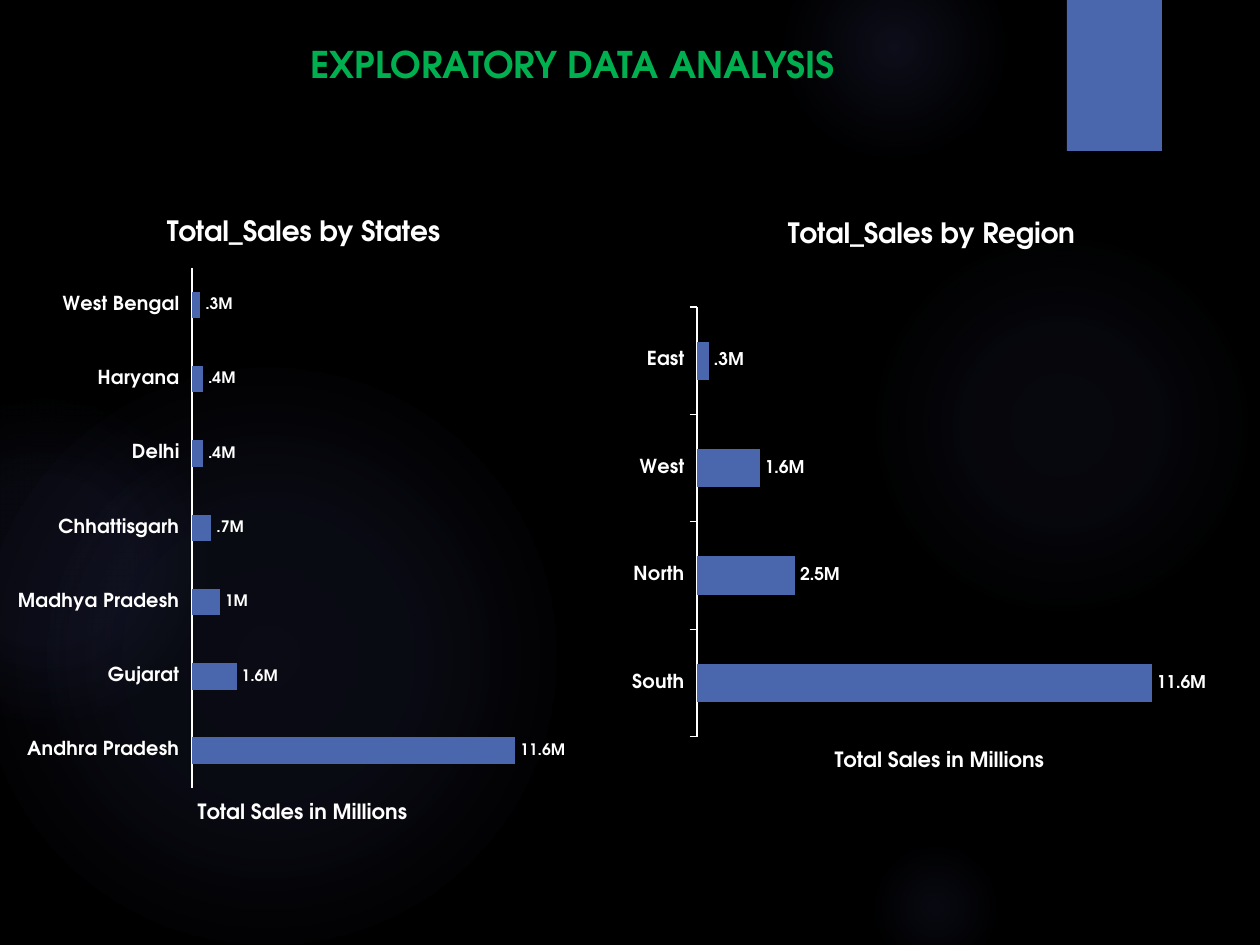
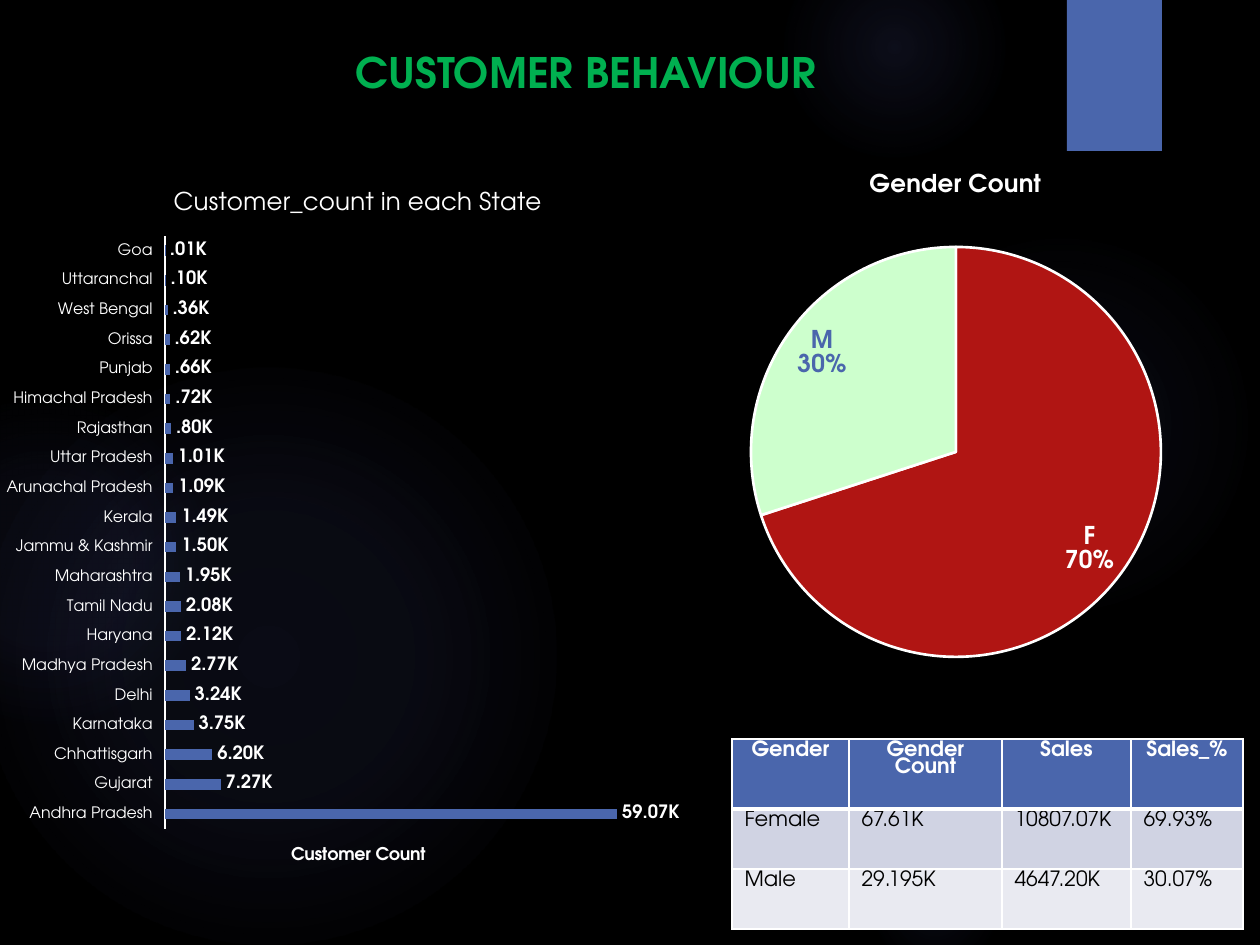
"""Builds two dark sales slides with bar charts, a gender pie and a gender table."""
from dataclasses import dataclass

from pptx import Presentation
from pptx.chart.data import CategoryChartData
from pptx.dml.color import RGBColor as RGB
from pptx.enum.chart import XL_CHART_TYPE as ChartType
from pptx.enum.chart import XL_LABEL_POSITION as LabelPos
from pptx.enum.chart import XL_TICK_LABEL_POSITION as TickLabelPos
from pptx.enum.chart import XL_TICK_MARK as Tick
from pptx.enum.shapes import MSO_SHAPE as Preset
from pptx.enum.text import MSO_ANCHOR as Anchor
from pptx.enum.text import PP_ALIGN as Align
from pptx.oxml import parse_xml
from pptx.oxml.ns import nsdecls, qn
from pptx.oxml.xmlchemy import OxmlElement
from pptx.util import Inches, Pt

PX = 7257


@dataclass(frozen=True)
class Theme:
    font: str = "TeX Gyre Adventor"
    black: RGB = RGB(0, 0, 0)
    white: RGB = RGB(255, 255, 255)
    blue: RGB = RGB.from_string("4A66AC")
    green: RGB = RGB.from_string("00B050")
    glow: RGB = RGB.from_string("5C64B7")
    red: RGB = RGB.from_string("B01513")
    mint: RGB = RGB.from_string("CDFFCD")
    odd_row: RGB = RGB.from_string("D0D3E3")
    even_row: RGB = RGB.from_string("E9EAF1")
    chart_size: float = 10
    pie_label: float = 14
    pie_title: float = 14
    table: float = 12


theme = Theme()


def add_run(paragraph, text, size, color=theme.white, bold=True):
    run = paragraph.add_run()
    run.text = text
    run.font.name = theme.font
    run.font.size = Pt(size)
    run.font.bold = bold
    run.font.color.rgb = color


def place(element, frame, box):
    """Pins a chart part to a px box (x, y and perhaps width, height)."""
    layout = element.find(qn("c:layout"))
    if layout is None:
        layout = OxmlElement("c:layout")
        element.insert(0 if element.find(qn("c:tx")) is None else 1, layout)
    manual = OxmlElement("c:manualLayout")
    layout.append(manual)
    fractions = [(box[0] - frame[0]) / frame[2], (box[1] - frame[1]) / frame[3]]
    settings = [("xMode", "edge"), ("yMode", "edge")]
    if len(box) == 4:
        fractions += [box[2] / frame[2], box[3] / frame[3]]
        settings.insert(0, ("layoutTarget", "inner"))
    settings += [(key, f"{part:.4f}") for key, part in zip("xywh", fractions)]
    for key, value in settings:
        setting = OxmlElement(f"c:{key}")
        setting.set("val", value)
        manual.append(setting)


prs = Presentation()
prs.slide_width, prs.slide_height = Inches(10), Inches(7.5)
backdrop = prs.slide_master.background.fill
backdrop.solid()
backdrop.fore_color.rgb = theme.black

GLOWS = [
    (868, 231, 388, [(0, 7), (36, 6), (69, 0)]),
    (784, -63, 221, [(0, 14), (36, 7), (73, 0)]),
    (868, 840, 136, [(0, 9), (36, 5), (66, 0)]),
    (-21, 368, 577, [(0, 11), (36, 10), (75, 0)]),
    (-116, 399, 325, [(0, 8), (36, 8), (72, 0)]),
]
HEADINGS = [
    ("EXPLORATORY DATA ANALYSIS", 21, (34, 35, 1077, 57), 6),
    ("CUSTOMER BEHAVIOUR", 24, (47, 40, 1077, 108), 50),
]

slides = []
for heading, size, box, bottom_inset in HEADINGS:
    slide = prs.slides.add_slide(prs.slide_layouts[6])
    slides.append(slide)
    for x, y, diameter, fades in GLOWS:
        glow = slide.shapes.add_shape(
            Preset.OVAL, x * PX, y * PX, diameter * PX, diameter * PX)
        stops = "".join(
            f'<a:gs pos="{stop * 1000}"><a:srgbClr val="{theme.glow}">'
            f'<a:alpha val="{alpha * 1000}"/></a:srgbClr></a:gs>'
            for stop, alpha in fades)
        glow._element.spPr.insert(2, parse_xml(
            f'<a:gradFill {nsdecls("a")}><a:gsLst>{stops}</a:gsLst>'
            '<a:path path="circle"><a:fillToRect l="50000" t="50000" '
            'r="50000" b="50000"/></a:path></a:gradFill>'))
        glow.line.fill.background()
        glow.shadow.inherit = False

    band = slide.shapes.add_shape(Preset.RECTANGLE, 1067 * PX, 0, 95 * PX, 151 * PX)
    band.fill.solid()
    band.fill.fore_color.rgb = theme.blue
    band.line.fill.background()
    band.shadow.inherit = False
    band._element.spPr.find(qn("a:effectLst")).append(parse_xml(
        f'<a:outerShdw {nsdecls("a")} blurRad="38100" dist="25400" dir="5400000">'
        '<a:srgbClr val="000000"><a:alpha val="45000"/></a:srgbClr></a:outerShdw>'))

    title = slide.shapes.add_textbox(*(side * PX for side in box)).text_frame
    title.word_wrap = True
    title.vertical_anchor = Anchor.MIDDLE
    title.margin_top, title.margin_bottom = 6 * PX, bottom_inset * PX
    title.paragraphs[0].alignment = Align.CENTER
    add_run(title.paragraphs[0], heading, size, theme.green)

eda, behaviour = slides
MILLIONS = '#.#,,"M";\\-#.#,,"M"'
THOUSANDS = '#.00,"K";\\-#.00,"K"'

BARS = [
    dict(slide=eda, frame=(13, 192, 581, 663), plot=(192, 268, 390, 520),
         title=("Total_Sales by States", 16, True),
         axis=("Total Sales in Millions", 12, (194, 797)),
         names=(11, True), label_size=9, format=MILLIONS, top=14000000, tick=Tick.NONE,
         sales={"Andhra Pradesh": 11600000, "Gujarat": 1600000,
                "Madhya Pradesh": 1000000, "Chhattisgarh": 700000,
                "Delhi": 400000, "Haryana": 400000, "West Bengal": 300000}),
    dict(slide=eda, frame=(617, 195, 629, 626), plot=(697, 307, 549, 430),
         title=("Total_Sales by Region", 16, True),
         axis=("Total Sales in Millions", 12, (831, 745)),
         names=(11, True), label_size=10, format=MILLIONS, top=14000000, tick=Tick.OUTSIDE,
         sales={"South": 11600000, "North": 2500000, "West": 1600000, "East": 300000}),
    dict(slide=behaviour, frame=(0, 164, 716, 730), plot=(165, 236, 536, 593),
         title=("Customer_count in each State", 14, False),
         axis=("Customer Count", 10, (288, 842)),
         names=(9, False), label_size=10.5, format=THOUSANDS, top=70000, tick=Tick.NONE,
         sales={"Andhra Pradesh": 59070, "Gujarat": 7270, "Chhattisgarh": 6200,
                "Karnataka": 3750, "Delhi": 3240, "Madhya Pradesh": 2770,
                "Haryana": 2120, "Tamil Nadu": 2080, "Maharashtra": 1950,
                "Jammu & Kashmir": 1500, "Kerala": 1490, "Arunachal Pradesh": 1090,
                "Uttar Pradesh": 1010, "Rajasthan": 800, "Himachal Pradesh": 720,
                "Punjab": 660, "Orissa": 620, "West Bengal": 360,
                "Uttaranchal": 100, "Goa": 10}),
]
GENDER_PIE = dict(
    slide=behaviour, frame=(698, 149, 515, 553), plot=(751, 247, 410, 410),
    title=("Gender Count", theme.pie_title, True), label_size=theme.pie_label,
    format="0%", sales={"F": 70, "M": 30})

for view in [*BARS, GENDER_PIE]:
    is_bar = "axis" in view
    data = CategoryChartData()
    data.categories = list(view["sales"])
    data.add_series("Series 1", list(view["sales"].values()))
    chart = view["slide"].shapes.add_chart(
        ChartType.BAR_CLUSTERED if is_bar else ChartType.PIE,
        *(side * PX for side in view["frame"]), data).chart
    chart.font.name = theme.font
    chart.font.size = Pt(theme.chart_size)
    chart.font.color.rgb = theme.white
    chart.has_legend = False
    chart.has_title = True
    text, size, bold = view["title"]
    add_run(chart.chart_title.text_frame.paragraphs[0], text, size, bold=bold)
    place(chart._chartSpace.chart.plotArea, view["frame"], view["plot"])

    plot = chart.plots[0]
    plot.has_data_labels = True
    labels = plot.data_labels
    labels.number_format = view["format"]
    labels.number_format_is_linked = False
    labels.position = LabelPos.OUTSIDE_END if is_bar else LabelPos.BEST_FIT
    labels.font.name = theme.font
    labels.font.size = Pt(view["label_size"])
    labels.font.bold = True
    labels.font.color.rgb = theme.white
    series = plot.series[0]

    if is_bar:
        plot.vary_by_categories = False
        plot.gap_width = 182
        series.format.fill.solid()
        series.format.fill.fore_color.rgb = theme.blue
        labels.show_value = True

        names = chart.category_axis
        names.major_tick_mark = view["tick"]
        names.minor_tick_mark = Tick.NONE
        names.tick_label_position = TickLabelPos.LOW
        names.has_major_gridlines = False
        names.format.line.color.rgb = theme.white
        names.format.line.width = Pt(0.75)
        names.tick_labels.font.name = theme.font
        names.tick_labels.font.color.rgb = theme.white
        size, names.tick_labels.font.bold = view["names"]
        names.tick_labels.font.size = Pt(size)

        amounts = chart.value_axis
        amounts.minimum_scale, amounts.maximum_scale = 0, view["top"]
        amounts.has_major_gridlines = False
        amounts.visible = False
        text, size, corner = view["axis"]
        add_run(amounts.axis_title.text_frame.paragraphs[0], text, size)
        place(amounts.axis_title._element, view["frame"], corner)
    else:
        plot.vary_by_categories = True
        labels.show_value = False
        labels.show_category_name = True
        labels.show_percentage = True
        for index, (slice_color, label_color) in enumerate(
                [(theme.red, theme.white), (theme.mint, theme.blue)]):
            gender = series.points[index]
            gender.format.fill.solid()
            gender.format.fill.fore_color.rgb = slice_color
            gender.format.line.color.rgb = theme.white
            gender.format.line.width = Pt(1.5)
            label = gender.data_label
            label.font.name = theme.font
            label.font.size = Pt(theme.pie_label)
            label.font.bold = True
            label.font.color.rgb = label_color
            label.position = LabelPos.BEST_FIT
        for label in series._element.iter(qn("c:dLbl")):
            for key, shown in [("Val", "0"), ("CatName", "1"), ("Percent", "1")]:
                label.find(qn(f"c:show{key}")).set("val", shown)
            separator = OxmlElement("c:separator")
            separator.text = "\n"
            label.append(separator)

GENDERS = [
    ["Gender", "Gender\nCount", "Sales", "Sales_%"],
    ["Female", "67.61K", "10807.07K", "69.93%"],
    ["Male", "29.195K", "4647.20K", "30.07%"],
]
row_fills = [theme.blue, theme.odd_row, theme.even_row]
column_widths, row_heights = [117, 153, 129, 112], [70, 60, 60]
genders = behaviour.shapes.add_table(
    3, 4, 732 * PX, 739 * PX, sum(column_widths) * PX, sum(row_heights) * PX).table
for column, width in zip(genders.columns, column_widths):
    column.width = width * PX
for row, height in zip(genders.rows, row_heights):
    row.height = height * PX

for r, values in enumerate(GENDERS):
    is_header = r == 0
    for c, value in enumerate(values):
        cell = genders.cell(r, c)
        cell.margin_top = cell.margin_bottom = 3 * PX
        for side in "LRTB":
            thick = (r, side) in [(0, "B"), (1, "T")]
            cell._tc.get_or_add_tcPr().append(parse_xml(
                f'<a:ln{side} {nsdecls("a")} w="{Pt(3 if thick else 1)}"><a:solidFill>'
                f'<a:srgbClr val="{theme.white}"/></a:solidFill></a:ln{side}>'))
        cell.fill.solid()
        cell.fill.fore_color.rgb = row_fills[r]
        for i, line in enumerate(value.split("\n")):
            frame = cell.text_frame
            paragraph = frame.add_paragraph() if i else frame.paragraphs[0]
            paragraph.alignment = Align.CENTER if is_header else Align.LEFT
            paragraph.line_spacing = 0.9
            add_run(paragraph, line, theme.table,
                    theme.white if is_header else theme.black, is_header)

prs.save("out.pptx")
